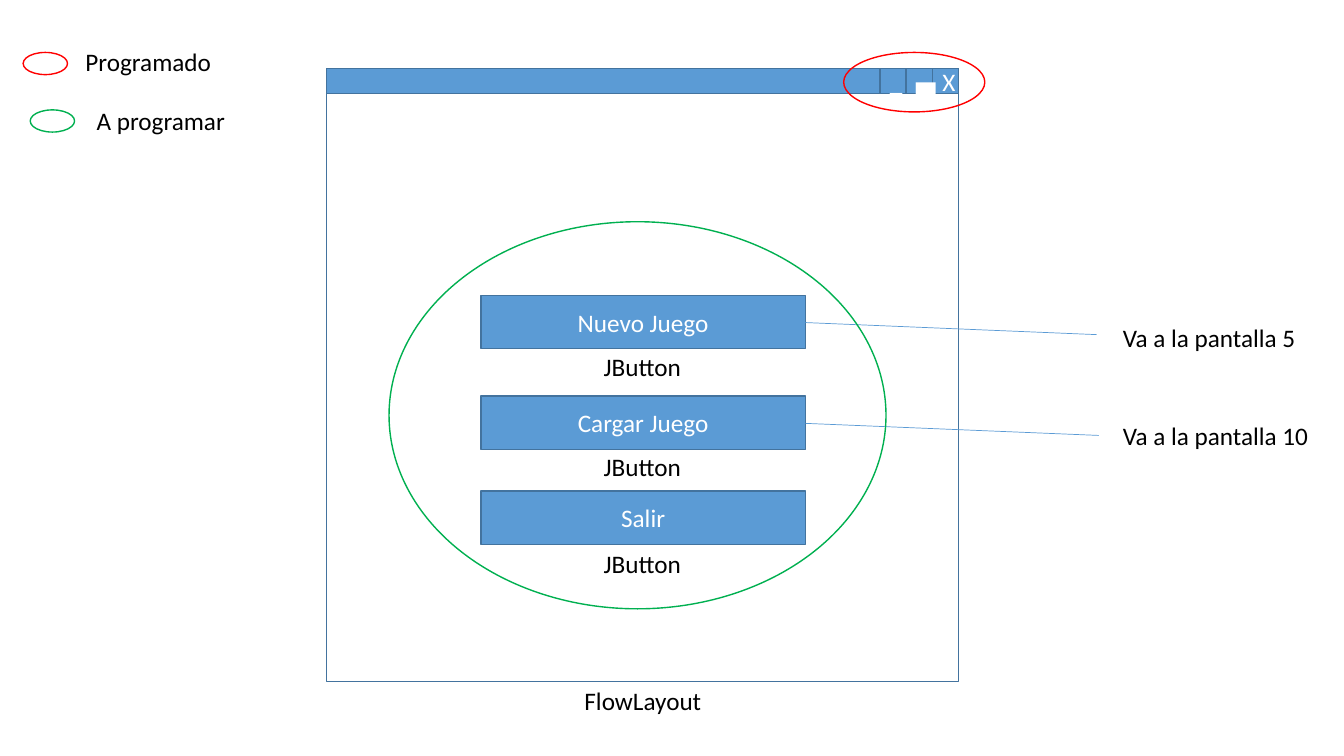
"""Builds the slide with the wireframe of a game's start menu."""
import pptx
import pptx.dml.color
import pptx.enum.shapes
import pptx.enum.text
import pptx.oxml
import pptx.oxml.ns
import pptx.util

COLOURS = {
    "panel": "FFFFFF",
    "accent": "5B9BD5",
    "border": "43739E",
    "done": "FF0000",
    "pending": "00B050",
    "ink": "000000",
    "light": "FFFFFF",
}
EMU_PER_PX = 9144
SHAPES = pptx.enum.shapes.MSO_SHAPE


def px(*lengths):
    """Turn pixel lengths into EMU."""
    return [pptx.util.Emu(length * EMU_PER_PX) for length in lengths]


def rgb(name):
    """Look up a named colour."""
    return pptx.dml.color.RGBColor.from_string(COLOURS[name])


def write(frame, text, size=18, font="Calibri", colour="ink", align="LEFT"):
    """Fill a text frame with one formatted paragraph."""
    paragraph = frame.paragraphs[0]
    paragraph.alignment = getattr(pptx.enum.text.PP_ALIGN, align)
    run = paragraph.add_run()
    run.text = text
    run.font.size = pptx.util.Pt(size)
    run.font.name = font
    run.font.color.rgb = rgb(colour)


class Wireframe:
    """Draws wireframe elements on one slide."""

    def __init__(self, slide):
        """Keep the slide to draw on."""
        self.shapes = slide.shapes

    def outline(self, kind, box, border):
        """Add a bordered shape without fill."""
        shape = self.shapes.add_shape(kind, *px(*box))
        shape.shadow.inherit = False
        shape.fill.background()
        shape.line.color.rgb = rgb(border)
        shape.line.width = pptx.util.Pt(1)
        return shape

    def block(self, box, text="", fill="accent"):
        """Add a filled rectangle with an optional centred caption."""
        shape = self.outline(SHAPES.RECTANGLE, box, "border")
        shape.fill.solid()
        shape.fill.fore_color.rgb = rgb(fill)
        if text:
            shape.text_frame.vertical_anchor = pptx.enum.text.MSO_ANCHOR.MIDDLE
            write(shape.text_frame, text, colour="light", align="CENTER")

    def ring(self, box, border):
        """Add an ellipse that marks a programming status."""
        self.outline(SHAPES.OVAL, box, border)

    def label(self, left, top, width, text):
        """Add a single-line text box."""
        frame = self.shapes.add_textbox(*px(left, top, width, 40)).text_frame
        frame.word_wrap = False
        frame.auto_size = pptx.enum.text.MSO_AUTO_SIZE.SHAPE_TO_FIT_TEXT
        write(frame, text)

    def link(self, start, end):
        """Add a thin straight line."""
        line = self.shapes.add_connector(
            pptx.enum.shapes.MSO_CONNECTOR.STRAIGHT, *px(*start, *end))
        line.line.color.rgb = rgb("accent")
        line.line.width = pptx.util.Pt(0.5)
        properties = line._element.spPr
        properties.append(pptx.oxml.parse_xml(
            f"<a:effectLst {pptx.oxml.ns.nsdecls('a')}/>"))


def main():
    """Build and save the slide."""
    deck = pptx.Presentation()
    deck.slide_width, deck.slide_height = pptx.util.Inches(13.333), pptx.util.Inches(7.5)
    wireframe = Wireframe(deck.slides.add_slide(deck.slide_layouts[6]))

    window_left, window_width, bar_top, bar_height = 324, 627, 68, 25
    wireframe.block((window_left, bar_top + bar_height, window_width, 583), fill="panel")

    button_left, button_width, button_height = 477, 322, 53
    button_right = button_left + button_width
    for name, top, class_top in (
            ("Nuevo Juego", 293, 344), ("Cargar Juego", 393, 443), ("Salir", 487, 539)):
        wireframe.block((button_left, top, button_width, button_height), name)
        wireframe.label(589, class_top, 98, "JButton")

    for target, start_y, end_x, top, width in (
            ("Va a la pantalla 5", 320, 1088, 315, 194),
            ("Va a la pantalla 10", 420, 1090, 412, 206)):
        wireframe.link((button_right, start_y), (end_x, start_y + 12))
        wireframe.label(1104, top, width, target)

    wireframe.label(570, 675, 137, "FlowLayout")

    wireframe.block((window_left, bar_top, window_width, bar_height))
    control_width = 26
    for position, symbol in enumerate("X▄_", start=1):
        control_left = window_left + window_width - position * control_width
        wireframe.block((control_left, bar_top, control_width, bar_height), symbol)

    wireframe.ring((837, 52, 140, 59), "done")
    wireframe.ring((386, 220, 493, 384), "pending")

    for status, border, ring_left, ring_top, left, top, width in (
            ("Programado", "done", 23, 52, 75, 41, 146),
            ("A programar", "pending", 30, 109, 86, 100, 149)):
        wireframe.ring((ring_left, ring_top, 44, 22), border)
        wireframe.label(left, top, width, status)

    deck.save("out.pptx")


if __name__ == "__main__":
    main()
